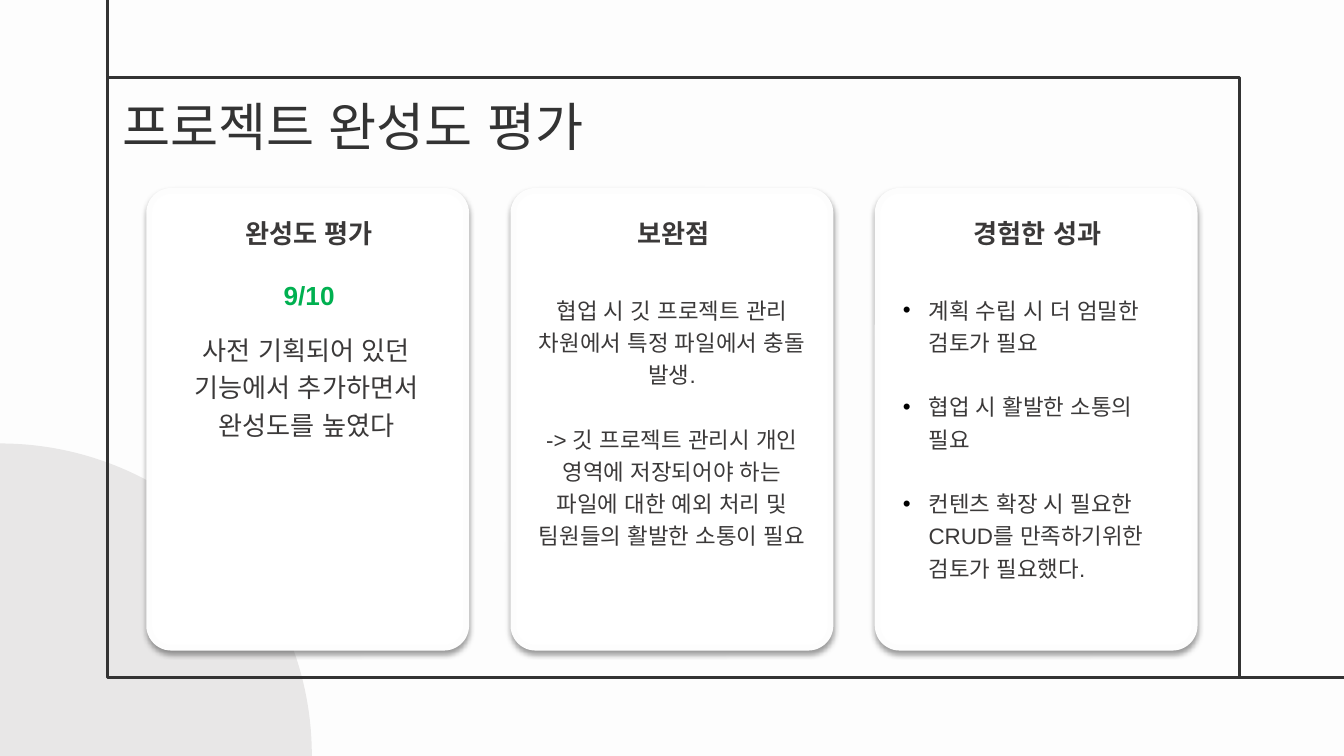
from lxml.etree import SubElement
from pptx import Presentation
from pptx.dml.color import RGBColor
from pptx.enum.lang import MSO_LANGUAGE_ID
from pptx.enum.shapes import MSO_CONNECTOR, MSO_SHAPE
from pptx.enum.text import MSO_ANCHOR, MSO_AUTO_SIZE, PP_ALIGN
from pptx.oxml.ns import qn
from pptx.util import Inches, Pt

COLORS = {
    "background": "FDFDFD", "circle": "E8E7E7", "frame": "333333", "card": "FFFFFF",
    "text": "3B3939", "score": "00B050", "black": "000000",
}
COLUMNS, ROWS = 100, 56.25
CARD_LEFT, CARD_TOP, CARD_PITCH = 11.1, 14.2, 27.1
CARD_WIDTH, CARD_HEIGHT, TEXT_WIDTH = 23.6, 34, 22.2


class SlideBuilder:
    """Draws styled elements on a slide laid out as a grid of square cells."""

    def __init__(self, presentation):
        self.cell = presentation.slide_width / COLUMNS
        self.slide = presentation.slides.add_slide(presentation.slide_layouts[6])
        self.paint(self.slide.background.fill, "background")

    def grid(self, *cells):
        return [round(cell * self.cell) for cell in cells]

    def paint(self, fill, color):
        fill.solid()
        fill.fore_color.rgb = RGBColor.from_string(COLORS[color])

    def shape(self, kind, box, fill=None, line=None, weight=1.5):
        shape = self.slide.shapes.add_shape(kind, *self.grid(*box))
        if fill:
            self.paint(shape.fill, fill)
        else:
            shape.fill.background()
        if line:
            self.paint(shape.line.fill, line)
            shape.line.width = Pt(weight)
        else:
            shape.line.fill.background()
        shape.shadow.inherit = False
        return shape

    def line(self, *ends):
        connector = self.slide.shapes.add_connector(MSO_CONNECTOR.STRAIGHT, *self.grid(*ends))
        self.paint(connector.line.fill, "frame")
        connector.line.width = Pt(1.5)
        SubElement(connector._element.spPr, qn("a:effectLst"))

    def card(self, left):
        card = self.shape(MSO_SHAPE.ROUNDED_RECTANGLE, (left, CARD_TOP, CARD_WIDTH, CARD_HEIGHT),
                          "card", "background", 3)
        card.adjustments[0] = 0.07
        effects = card._element.spPr.find(qn("a:effectLst"))
        shadow = SubElement(effects, qn("a:outerShdw"), blurRad=str(Pt(3.1)), dist=str(Pt(1.6)),
                            dir="5400000", algn="t", rotWithShape="0")
        tint = SubElement(shadow, qn("a:srgbClr"), val=COLORS["black"])
        SubElement(tint, qn("a:alpha"), val="38000")

    def bullet(self, paragraph):
        properties = paragraph._p.get_or_add_pPr()
        properties.set("marL", str(Inches(0.19)))
        properties.set("indent", str(Inches(-0.19)))
        tint = SubElement(properties, qn("a:buClr"))
        SubElement(tint, qn("a:srgbClr"), val=COLORS["black"])
        SubElement(properties, qn("a:buFont"), typeface="Arial")
        SubElement(properties, qn("a:buChar"), char="•")

    def text(self, box, paragraphs, size=14, color="text", bold=False, font="Arial",
             align=PP_ALIGN.CENTER, spacing=1.2, bulleted=False):
        frame = self.slide.shapes.add_textbox(*self.grid(*box)).text_frame
        frame.word_wrap = True
        frame.auto_size = MSO_AUTO_SIZE.SHAPE_TO_FIT_TEXT
        for index, wording in enumerate(paragraphs):
            paragraph = frame.add_paragraph() if index else frame.paragraphs[0]
            paragraph.alignment = align
            paragraph.line_spacing = spacing
            if index:
                paragraph.space_before = Pt(17.25)
            if bulleted:
                self.bullet(paragraph)
            run = paragraph.add_run()
            run.text = wording
            run.font.name = font
            run.font.size = Pt(size)
            run.font.bold = bold
            run.font.language_id = MSO_LANGUAGE_ID.KOREAN
            run.font.color.rgb = RGBColor.from_string(COLORS[color])
        return frame

    def title(self, box, wording):
        frame = self.text(box, [wording], 28, "frame", font="Noto Sans CJK KR",
                          align=PP_ALIGN.LEFT, spacing=1.15)
        frame.auto_size = MSO_AUTO_SIZE.NONE
        frame.vertical_anchor = MSO_ANCHOR.BOTTOM
        frame.margin_top = frame.margin_bottom = Inches(0.1)


def main():
    presentation = Presentation()
    presentation.slide_width = Inches(COLUMNS / 10)
    presentation.slide_height = Inches(ROWS / 10)
    builder = SlideBuilder(presentation)

    builder.shape(MSO_SHAPE.OVAL, (-23.2, 33, 46.4, 46.4), "circle")
    builder.shape(MSO_SHAPE.RECTANGLE, (8, 5.8, 84.2, 44.6), line="frame")
    builder.line(8, 5.8, 8, 0)
    builder.line(92.2, 50.4, COLUMNS, 50.4)

    lefts = [CARD_LEFT + CARD_PITCH * index for index in range(3)]
    for left, heading in zip(lefts, ("완성도 평가", "보완점", "경험한 성과")):
        builder.card(left)
        builder.text((left + 0.8, 15.2, TEXT_WIDTH, 3.6), [heading], bold=True)

    rating, improvement, outcome = lefts
    builder.text((rating + 0.8, 19.8, TEXT_WIDTH, 3.6), ["9/10"], color="score", bold=True)
    builder.text((rating + 0.6, 23.9, TEXT_WIDTH, 14.9),
                 ["사전 기획되어 있던 기능에서 추가하면서 완성도를 높였다"])
    builder.text((improvement + 0.7, 21.2, TEXT_WIDTH, 25), [
        "협업 시 깃 프로젝트 관리 차원에서 특정 파일에서 충돌 발생.",
        "-> 깃 프로젝트 관리시 개인 영역에 저장되어야 하는 파일에 대한 예외 처리 및 "
        "팀원들의 활발한 소통이 필요",
    ], size=12)
    builder.text((outcome + 0.9, 21.2, TEXT_WIDTH, 22.6), [
        "계획 수립 시 더 엄밀한 검토가 필요",
        "협업 시 활발한 소통의 필요",
        "컨텐츠 확장 시 필요한 CRUD를 만족하기위한 검토가 필요했다.",
    ], size=12, align=PP_ALIGN.LEFT, bulleted=True)
    builder.title((8.1, 3.5, 55.4, 9.2), "프로젝트 완성도 평가")

    presentation.save("out.pptx")


if __name__ == "__main__":
    main()
